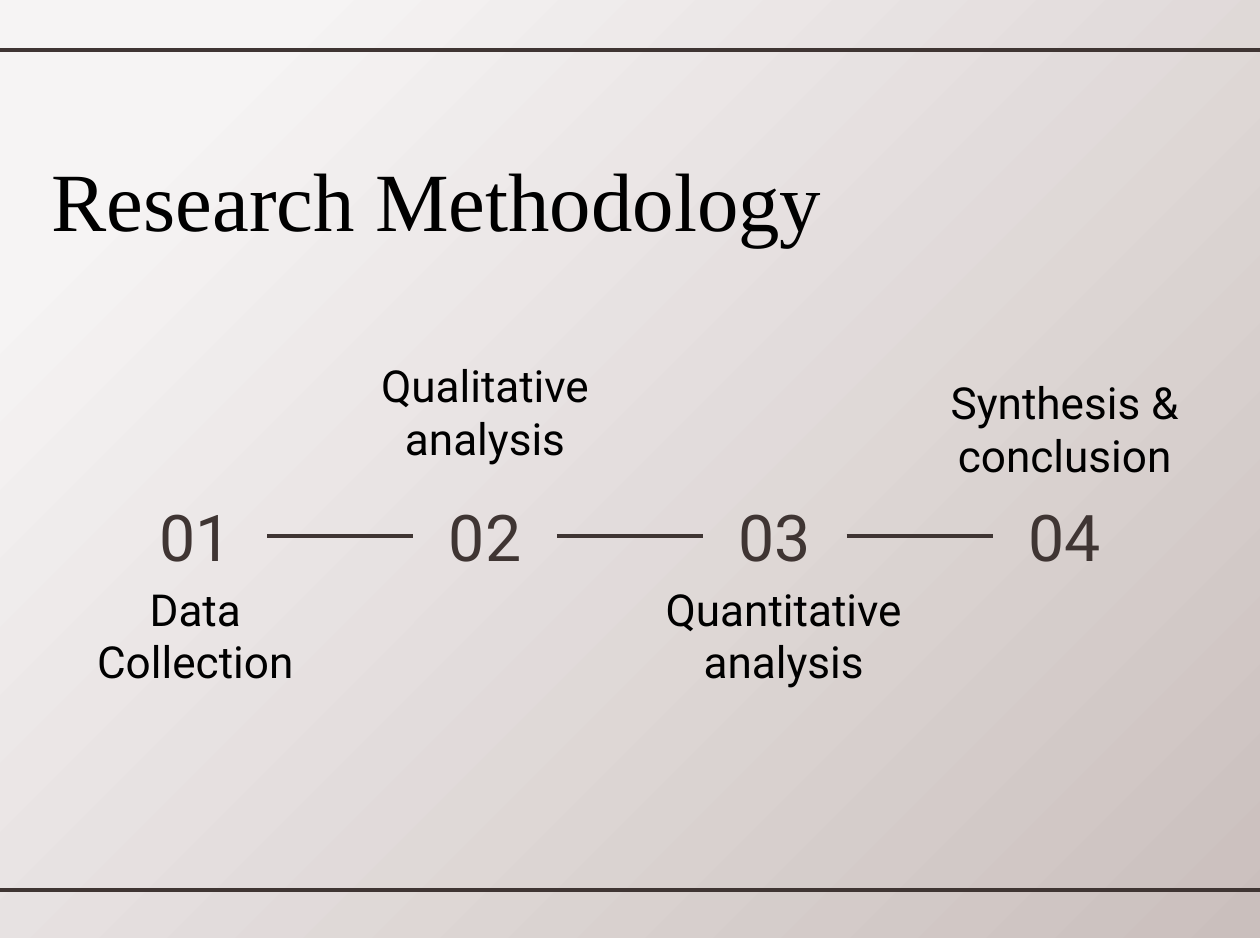
import pptx
import pptx.util
import pptx.dml.color
import pptx.enum.shapes
import pptx.enum.text
import pptx.oxml
import pptx.oxml.ns
from lxml import etree

Pt = pptx.util.Pt
ALIGN = pptx.enum.text.PP_ALIGN
ANCHOR = pptx.enum.text.MSO_ANCHOR

COLORS = {"ink": "000000", "accent": "3F3533",
          "bg_deep": "AFA09D", "bg_mid": "CABFBD", "bg_light": "F6F4F4"}
WIDTH, HEIGHT = 720, 536

# Number row: equal steps, one shared width
FIRST_CENTER, STEP = 111.6, 165.6
NUMBER_W, NUMBER_H, NUMBER_TOP = 82, 55.44, 278.64

# Label text, left, top, width
LABELS = [
    ("Data Collection", 40.32, 348, 142.56),
    ("Qualitative analysis", 205.92, 220.32, 142.56),
    ("Quantitative analysis", 371.52, 348, 152.64),
    ("Synthesis & conclusion", 515.52, 230.2, 185.76),
]
LABEL_H = 29.52


def rgb(name):
    return pptx.dml.color.RGBColor.from_string(COLORS[name])


def set_background(s):
    """Radial gradient spreading from the bottom right corner."""
    s.background.fill.solid()
    stops = [(0, "bg_deep"), (0, "bg_deep"), (0, "bg_mid"), (87, "bg_light")]
    gs = "".join(f'<a:gs pos="{pos * 1000}"><a:srgbClr val="{COLORS[c]}"/></a:gs>'
                 for pos, c in stops)
    grad = pptx.oxml.parse_xml(
        f'<a:gradFill {pptx.oxml.ns.nsdecls("a")}><a:gsLst>{gs}</a:gsLst>'
        '<a:path path="circle"><a:fillToRect l="100000" t="100000"/></a:path>'
        '<a:tileRect r="-100000" b="-100000"/></a:gradFill>')
    bg = s.element.xpath("p:cSld/p:bg/p:bgPr")[0]
    bg.replace(bg[0], grad)


def write_text(sp, text, size, font="Roboto", color="ink",
               align=ALIGN.CENTER, anchor=ANCHOR.MIDDLE):
    tf = sp.text_frame
    tf.word_wrap = True
    tf.auto_size = pptx.enum.text.MSO_AUTO_SIZE.NONE
    tf.vertical_anchor = anchor
    tf.margin_left = tf.margin_right = tf.margin_top = tf.margin_bottom = Pt(7.2)
    p = tf.paragraphs[0]
    p.alignment = align
    r = p.add_run()
    r.text = text
    r.font.size = Pt(size)
    r.font.name = font
    r.font.color.rgb = rgb(color)


def add_text(s, text, x, y, w, h, **fmt):
    sp = s.shapes.add_textbox(Pt(x), Pt(y), Pt(w), Pt(h))
    write_text(sp, text, **fmt)
    return sp


def add_line(s, x1=0, y1=0, x2=0, y2=0):
    line = s.shapes.add_connector(pptx.enum.shapes.MSO_CONNECTOR.STRAIGHT,
                                  Pt(x1), Pt(y1), Pt(x2), Pt(y2))
    line.line.color.rgb = rgb("accent")
    line.line.width = Pt(2.25)
    etree.SubElement(line.element.spPr, pptx.oxml.ns.qn("a:effectLst"))
    return line


def add_title(s, text):
    sp = s.shapes.title
    sp.left, sp.top, sp.width, sp.height = Pt(22.32), Pt(77.76), Pt(637.92), Pt(47.52)
    write_text(sp, text, size=47.3, font="Times New Roman",
               align=ALIGN.LEFT, anchor=ANCHOR.TOP)


def add_numbers(s):
    numbers = [add_text(s, f"{i + 1:02d}", FIRST_CENTER + i * STEP - NUMBER_W / 2,
                        NUMBER_TOP, NUMBER_W, NUMBER_H, size=36.8, color="accent")
               for i in range(len(LABELS))]
    for left, right in zip(numbers, numbers[1:]):
        line = add_line(s)
        line.begin_connect(left, 3)
        line.end_connect(right, 1)


def main():
    prs = pptx.Presentation()
    prs.slide_width, prs.slide_height = Pt(WIDTH), Pt(HEIGHT)
    s = prs.slides.add_slide(prs.slide_layouts[5])
    set_background(s)

    # Rules across the top and bottom
    for y in (28.8, 508.5):
        add_line(s, 0, y, WIDTH, y)

    add_title(s, "Research Methodology")

    # Timeline
    add_numbers(s)
    for text, x, y, w in LABELS:
        add_text(s, text, x, y, w, LABEL_H, size=25.2)

    prs.save("out.pptx")


if __name__ == "__main__":
    main()
